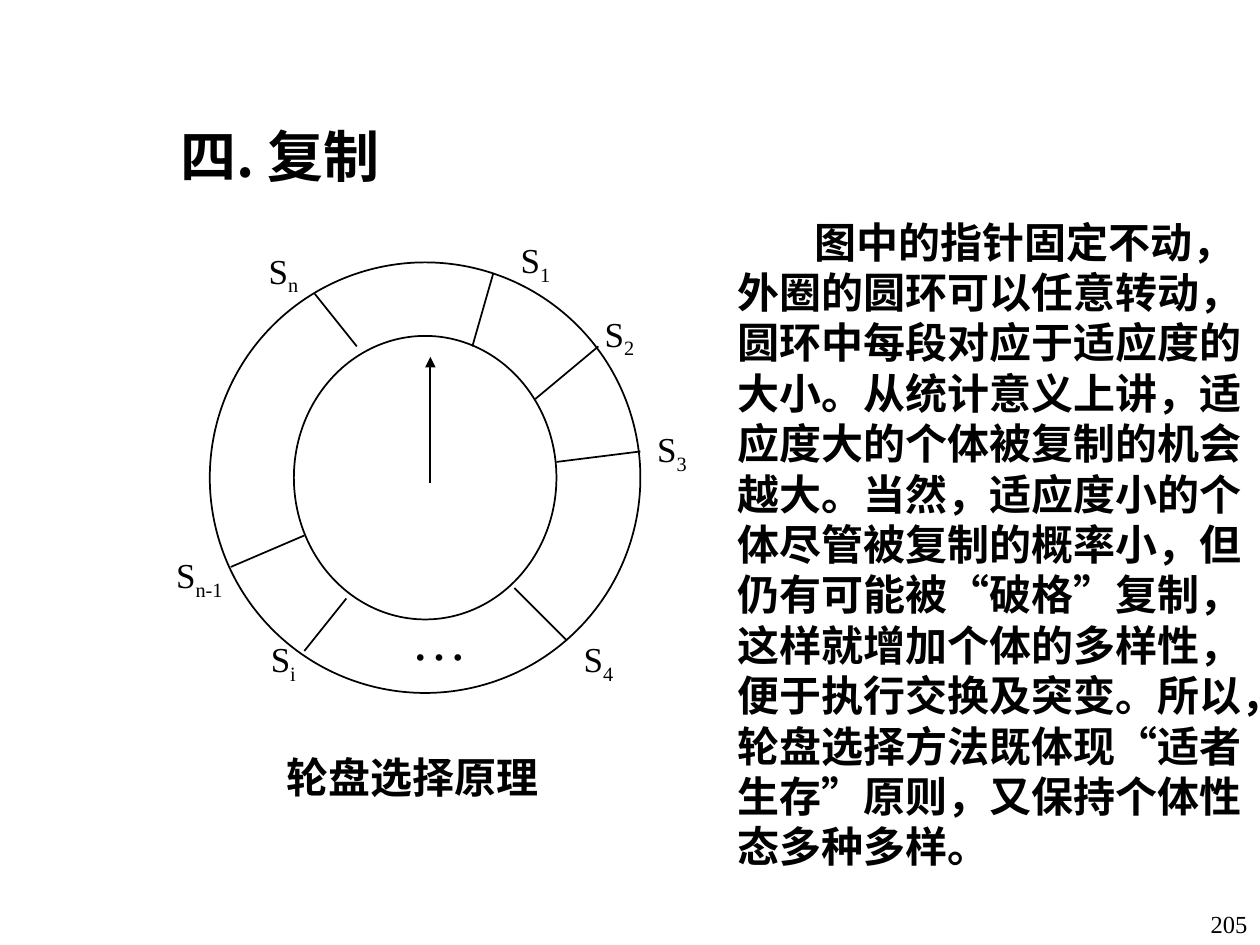
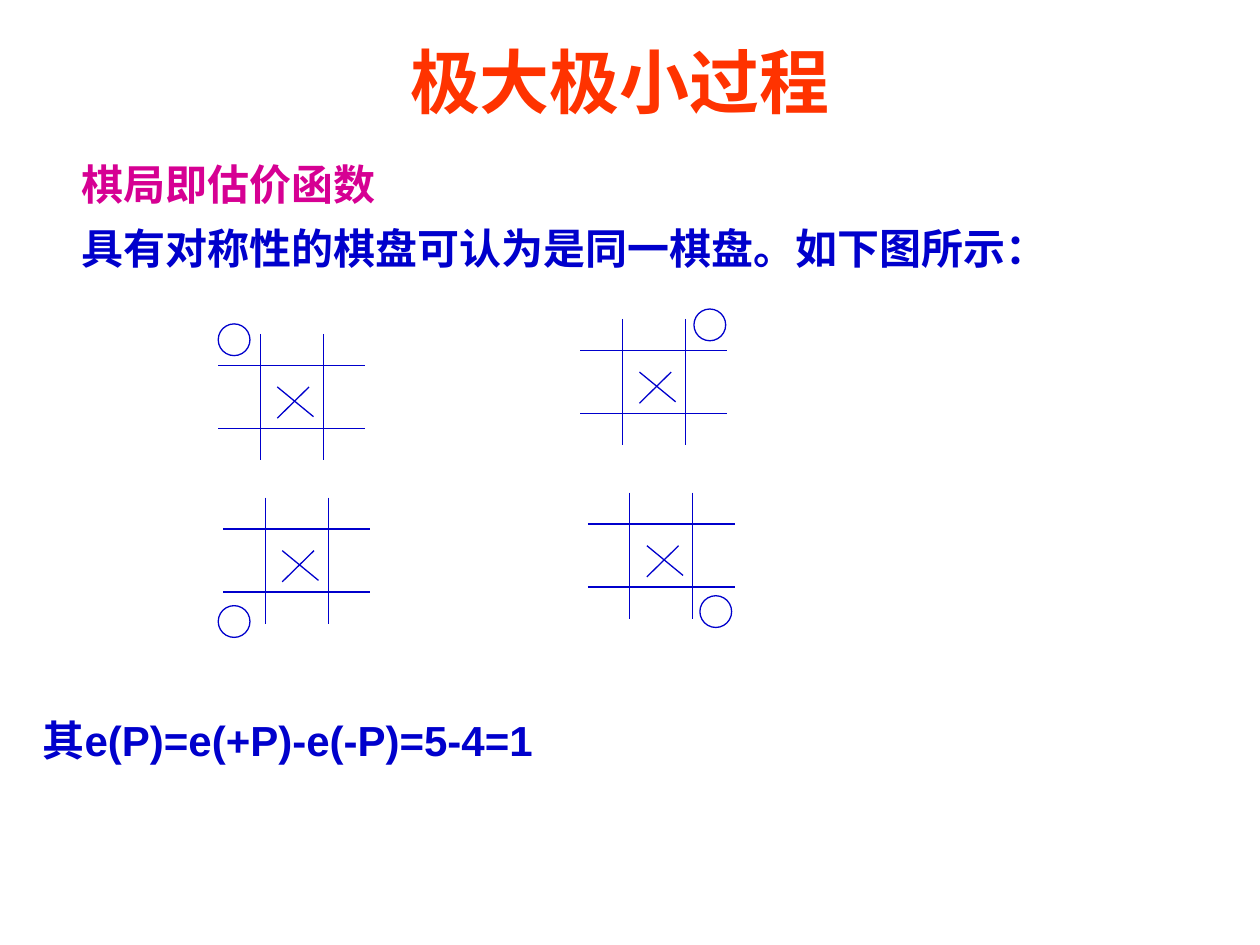
from dataclasses import dataclass
from lxml import etree
from pptx import Presentation
from pptx.dml.color import RGBColor
from pptx.enum.shapes import MSO_CONNECTOR, MSO_SHAPE
from pptx.enum.text import MSO_ANCHOR, MSO_AUTO_SIZE, PP_ALIGN
from pptx.oxml.ns import qn
from pptx.util import Cm, Pt


@dataclass(frozen=True)
class Theme:
    black: str = "000000"
    white: str = "FFFFFF"
    blue: str = "0000CC"
    magenta: str = "D60093"
    orange: str = "FF3300"
    serif: str = "Times New Roman"
    sans: str = "Arial"
    cjk: str = "Noto Sans CJK SC"
    title: int = 40
    heading: int = 32
    body: int = 24
    label: int = 20
    number: int = 14
    ring_line: float = 1
    board_line: float = 0.75


T = Theme()
TITLE_ONLY_BODY = 1  # layout "Title and Content"


# Text helpers
def add_run(p, text, size, color=T.black, name=T.serif, bold=True, baseline=None):
    r = p.add_run()
    r.text = text
    for key, value in {"size": Pt(size), "bold": bold, "name": name}.items():
        setattr(r.font, key, value)
    r.font.color.rgb = RGBColor.from_string(color)
    rpr = r._r.get_or_add_rPr()
    etree.SubElement(rpr, qn("a:ea")).set("typeface", T.cjk)
    if baseline:
        rpr.set("baseline", str(baseline))
    return r


def format_paragraph(p, left=0, indent=0, **fmt):
    ppr = p._p.get_or_add_pPr()
    ppr.set("marL", str(Cm(left)))
    ppr.set("indent", str(Cm(indent)))
    etree.SubElement(ppr, qn("a:buNone"))
    fmt = {"alignment": PP_ALIGN.LEFT, "space_before": Pt(0), "line_spacing": 1.0} | fmt
    for key, value in fmt.items():
        setattr(p, key, value)


def prepare(sp, box, anchor=MSO_ANCHOR.TOP, wrap=True):
    """Move a text shape to box (left, top, width, height in cm)."""
    for key, value in zip(("left", "top", "width", "height"), box):
        setattr(sp, key, Cm(value))
    tf = sp.text_frame
    for key, value in {"word_wrap": wrap, "auto_size": MSO_AUTO_SIZE.NONE,
                       "vertical_anchor": anchor}.items():
        setattr(tf, key, value)
    return tf


def add_text(shapes, box, text, size, align=PP_ALIGN.LEFT, anchor=MSO_ANCHOR.TOP,
             wrap=True, spacing=1.0, **font):
    sp = shapes.add_textbox(0, 0, 0, 0)
    p = prepare(sp, box, anchor, wrap).paragraphs[0]
    format_paragraph(p, alignment=align, line_spacing=spacing)
    add_run(p, text, size, **font)
    return p


def set_title(s, box, text, size, align, **font):
    p = prepare(s.shapes.title, box).paragraphs[0]
    format_paragraph(p, alignment=align)
    add_run(p, text, size, **font)


# Drawing helpers
def add_line(shapes, start, end, color, width, arrow=False):
    points = [Cm(v) for v in (*start, *end)]
    line = shapes.add_connector(MSO_CONNECTOR.STRAIGHT, *points)
    line.line.color.rgb = RGBColor.from_string(color)
    line.line.width = Pt(width)
    if arrow:
        etree.SubElement(line.line._get_or_add_ln(), qn("a:tailEnd")).set("type", "triangle")
    etree.SubElement(line._element.spPr, qn("a:effectLst"))


def add_ellipse(shapes, box, color, width):
    sp = shapes.add_shape(MSO_SHAPE.OVAL, *[Cm(v) for v in box])
    sp.shadow.inherit = False
    sp.fill.background()
    sp.line.color.rgb = RGBColor.from_string(color)
    sp.line.width = Pt(width)


# Roulette wheel, laid out on a grid 41 units wide
WHEEL_UNITS = 41
SEGMENTS = [  # subscript, label corner, spoke start, spoke end
    ("1", (26, -3), (27, 1), (25, 8)),
    ("2", (34, 4), (37, 8), (31, 13)),
    ("3", (39, 15), (41, 18), (33, 19)),
    ("4", (32, 35), (34, 36), (29, 31)),
    ("i", (2, 35), (9, 37), (13, 32)),
    ("n-1", (-6, 27), (2, 29), (9, 26)),
    ("n", (2, -2), (10, 3), (14, 8)),
]


def wheel(s, left, top, size):
    shapes = s.shapes.add_group_shape().shapes
    unit = size / WHEEL_UNITS

    def at(x, y):
        return left + x * unit, top + y * unit

    def box(x, y, w, h):
        return *at(x, y), w * unit, h * unit

    stroke = (T.black, T.ring_line)
    add_ellipse(shapes, box(0, 0, WHEEL_UNITS, WHEEL_UNITS), *stroke)
    add_ellipse(shapes, box(8, 7, 25, 27), *stroke)
    add_line(shapes, at(21, 21), at(21, 9), *stroke, arrow=True)
    for subscript, corner, outer, inner in SEGMENTS:
        add_line(shapes, at(*outer), at(*inner), *stroke)
        p = add_text(shapes, box(*corner, 10, 6), "S", T.label, PP_ALIGN.CENTER,
                     MSO_ANCHOR.MIDDLE, wrap=False, bold=False)
        add_run(p, subscript, T.label, bold=False, baseline=-25000)
    add_text(shapes, box(18, 32, 7.7, 7.7), "…", T.heading, wrap=False, bold=False)


# Noughts-and-crosses board
def board(s, left, top, nought):
    shapes = s.shapes.add_group_shape().shapes
    width, height, cell = 2.96, 2.54, 1.27
    margin_x, margin_y = (width - cell) / 2, (height - cell) / 2
    lines = [((1.83, 1.07), (1.19, 1.7)), ((1.19, 1.07), (1.92, 1.67))]  # cross
    for k in range(2):
        x, y = margin_x + k * cell, margin_y + k * cell
        lines += [((0, y), (width, y)), ((x, 0), (x, height))]
    for (x1, y1), (x2, y2) in lines:
        add_line(shapes, (left + x1, top + y1), (left + x2, top + y2),
                 T.blue, T.board_line)
    x, y = nought
    add_ellipse(shapes, (left + x, top + y, 0.64, 0.64), T.blue, T.board_line)


# Slides
def reproduction_slide(prs):
    s = prs.slides.add_slide(prs.slide_layouts[TITLE_ONLY_BODY])
    set_title(s, (3.39, 2.33, 14.17, 1.63), "四. 复制", T.heading, PP_ALIGN.JUSTIFY,
              name=T.cjk)
    wheel(s, 4.23, 5.29, 8.68)
    add_text(s.shapes, (3.23, 15.03, 10.16, 1.27), "轮盘选择原理", T.body, PP_ALIGN.CENTER)
    p = prepare(s.placeholders[1], (14.61, 4.23, 10.79, 13.46)).paragraphs[0]
    format_paragraph(p, indent=1.55)
    add_run(p, "图中的指针固定不动，外圈的圆环可以任意转动，圆环中每段对应于适应度的大小。"
               "从统计意义上讲，适应度大的个体被复制的机会越大。当然，适应度小的个体尽管"
               "被复制的概率小，但仍有可能被“破格”复制，这样就增加个体的多样性，便于执行"
               "交换及突变。所以，轮盘选择方法既体现“适者生存”原则，又保持个体性态多种多样。",
            T.body)
    add_text(s.shapes, (24.13, 17.78, 1.27, 1.27), "205", T.number, PP_ALIGN.RIGHT,
             MSO_ANCHOR.BOTTOM, wrap=False, bold=False)


def minimax_slide(prs):
    s = prs.slides.add_slide(prs.slide_layouts[TITLE_ONLY_BODY])
    set_title(s, (3.3, 0.64, 18.39, 1.96), "极大极小过程", T.title, PP_ALIGN.CENTER,
              color=T.orange, name=T.sans)
    body = s.placeholders[1]
    body.fill.solid()
    body.fill.fore_color.rgb = RGBColor.from_string(T.white)
    tf = prepare(body, (0.61, 3.02, 24, 2.62))
    statements = [("棋局即估价函数", T.magenta),
                  ("具有对称性的棋盘可认为是同一棋盘。如下图所示：", T.blue)]
    for i, (text, color) in enumerate(statements):
        p = tf.add_paragraph() if i else tf.paragraphs[0]
        format_paragraph(p, left=0.77, alignment=PP_ALIGN.JUSTIFY, line_spacing=1.05,
                         space_before=Pt(6 if i else 0))
        add_run(p, text, T.body, color)
    # Four symmetric positions: board corner, then nought relative to it
    for left, top, nought in [(4.4, 6.73, (0, -0.2)), (11.7, 6.43, (2.29, -0.2)),
                              (4.5, 10.03, (-0.1, 2.18)), (11.85, 9.93, (2.26, 2.08))]:
        board(s, left, top, nought)
    add_text(s.shapes, (0.61, 14.22, 24.1, 1.32), "其e(P)=e(+P)-e(-P)=5-4=1", T.body,
             spacing=1.05, color=T.blue, name=T.sans)


def main():
    prs = Presentation()
    prs.slide_width, prs.slide_height = Cm(25.4), Cm(19.05)
    reproduction_slide(prs)
    minimax_slide(prs)
    prs.save("out.pptx")


if __name__ == "__main__":
    main()
